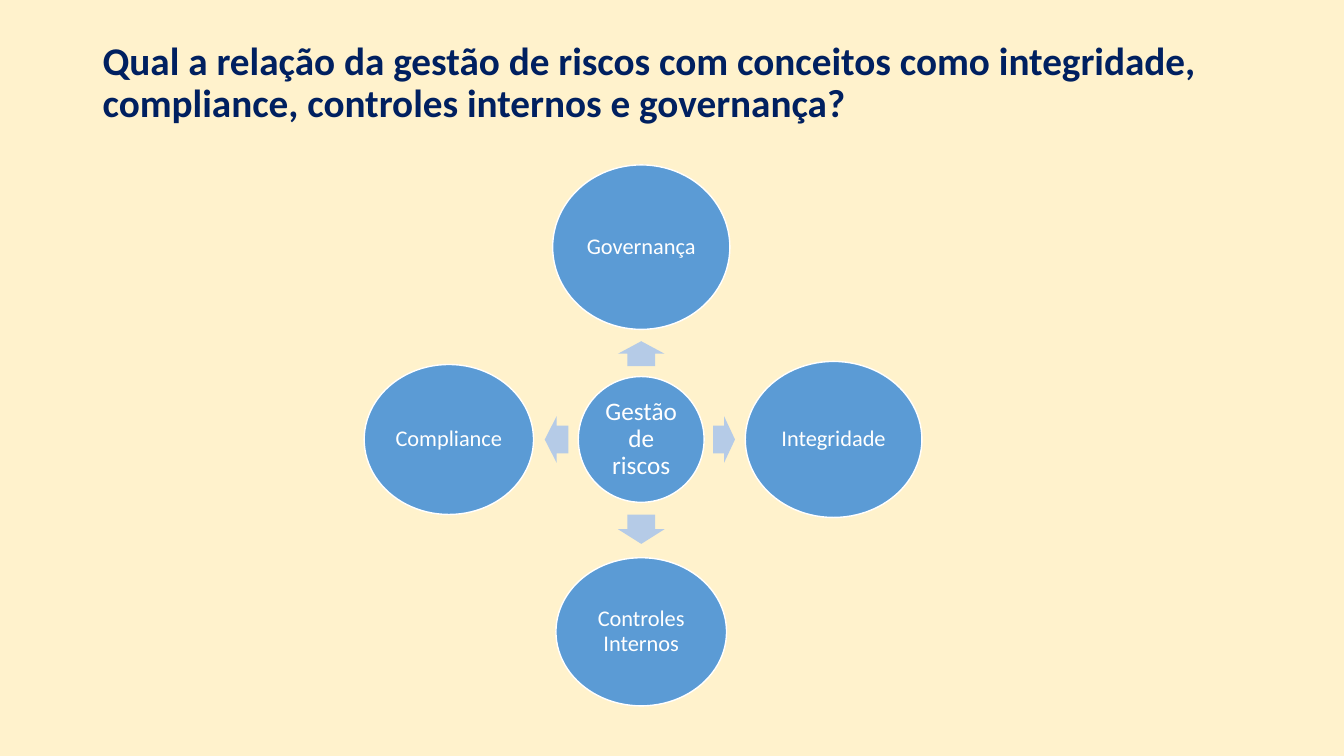
from dataclasses import dataclass
from math import cos, radians, sin

from pptx import Presentation
from pptx.dml.color import RGBColor
from pptx.enum.shapes import MSO_SHAPE as Preset
from pptx.enum.text import MSO_ANCHOR as Anchor, PP_ALIGN as Align
from pptx.util import Inches, Pt


@dataclass(frozen=True)
class Theme:
    """Colours, font and type sizes of the slide."""
    background: str = "FFF2CC"
    title: str = "002060"
    circle: str = "5B9BD5"
    arrow: str = "B5CBE7"
    light: str = "FFFFFF"
    font: str = "Calibri"
    title_size: int = 28
    hub_size: int = 18
    concept_size: int = 16


@dataclass(frozen=True)
class Box:
    """A region in inches."""
    left: float
    top: float
    width: float
    height: float


THEME = Theme()
TITLE_TEXT = ("Qual a relação da gestão de riscos com conceitos como integridade, "
              "compliance, controles internos e governança?")
HUB_TEXT = "Gestão de riscos"
CONCEPTS = [
    ("Governança", 270, 29.3, 27.2),
    ("Integridade", 0, 29.2, 25.8),
    ("Controles Internos", 90, 28.2, 24.5),
    ("Compliance", 180, 28, 24.8),
]
HUB_DIAMETER, ORBIT_RADIUS, ARROW_BREADTH = 20.8, 31.8, 7.7
ARROW_LENGTH_SHARE, ARROW_CENTRE_SHARE = 0.53, 0.485


def write(shape, text, size, colour, bold=False, align=Align.LEFT, inset=None):
    """Put one styled paragraph in a shape."""
    frame = shape.text_frame
    frame.word_wrap = True
    frame.vertical_anchor = Anchor.MIDDLE
    if inset is not None:
        frame.margin_left = frame.margin_right = Inches(inset)
        frame.margin_top = frame.margin_bottom = Inches(inset)
    paragraph = frame.paragraphs[0]
    paragraph.text = text
    paragraph.alignment = align
    paragraph.line_spacing = 0.9
    font = paragraph.font
    font.name, font.size, font.bold = THEME.font, Pt(size), bold
    font.color.rgb = RGBColor.from_string(colour)


def add_centred(slide, preset, x, y, width, height, fill):
    """Add a filled preset shape around a centre point."""
    shape = slide.shapes.add_shape(preset, Inches(x - width / 2), Inches(y - height / 2),
                                   Inches(width), Inches(height))
    shape.shadow.inherit = False
    shape.fill.solid()
    shape.fill.fore_color.rgb = RGBColor.from_string(fill)
    shape.line.fill.background()
    return shape


def add_circle(slide, x, y, width, height, text, size):
    """Add a labelled ellipse with a light outline."""
    circle = add_centred(slide, Preset.OVAL, x, y, width, height, THEME.circle)
    circle.line.color.rgb = RGBColor.from_string(THEME.light)
    circle.line.width = Pt(1)
    write(circle, text, size, THEME.light, align=Align.CENTER, inset=0.02)


def add_arrow(slide, x, y, length, breadth, angle):
    """Add a block arrow that points along the angle."""
    arrow = add_centred(slide, Preset.RIGHT_ARROW, x, y, length, breadth, THEME.arrow)
    arrow.adjustments[0], arrow.adjustments[1] = 0.6, 0.5
    arrow.rotation = angle


def add_title(slide, box):
    """Add the question at the top of the slide."""
    title = slide.shapes.add_textbox(*(Inches(length) for length in
                                       (box.left, box.top, box.width, box.height)))
    write(title, TITLE_TEXT, THEME.title_size, THEME.title, bold=True)


def add_radial_diagram(slide, box):
    """Draw the hub with the concepts around it on a grid of 100 units."""
    unit = box.width / 100
    centre_x, centre_y = box.left + box.width / 2, box.top + box.height / 2
    hub = HUB_DIAMETER * unit
    add_circle(slide, centre_x, centre_y, hub, hub, HUB_TEXT, THEME.hub_size)
    for name, angle, width, height in CONCEPTS:
        across, down = cos(radians(angle)), sin(radians(angle))
        reach = abs(across) * width / 2 + abs(down) * height / 2
        gap = ORBIT_RADIUS - HUB_DIAMETER / 2 - reach
        distance = (HUB_DIAMETER / 2 + ARROW_CENTRE_SHARE * gap) * unit
        add_arrow(slide, centre_x + distance * across, centre_y + distance * down,
                  ARROW_LENGTH_SHARE * gap * unit, ARROW_BREADTH * unit, angle)
        orbit = ORBIT_RADIUS * unit
        add_circle(slide, centre_x + orbit * across, centre_y + orbit * down,
                   width * unit, height * unit, name, THEME.concept_size)


def main():
    """Build and save the presentation."""
    presentation = Presentation()
    presentation.slide_width, presentation.slide_height = Inches(13.33), Inches(7.5)
    slide = presentation.slides.add_slide(presentation.slide_layouts[6])
    slide.background.fill.solid()
    slide.background.fill.fore_color.rgb = RGBColor.from_string(THEME.background)
    add_title(slide, Box(0.92, 0.4, 11.5, 0.86))
    add_radial_diagram(slide, Box(3.36, 1.36, 6, 6))
    presentation.save("out.pptx")


if __name__ == "__main__":
    main()
